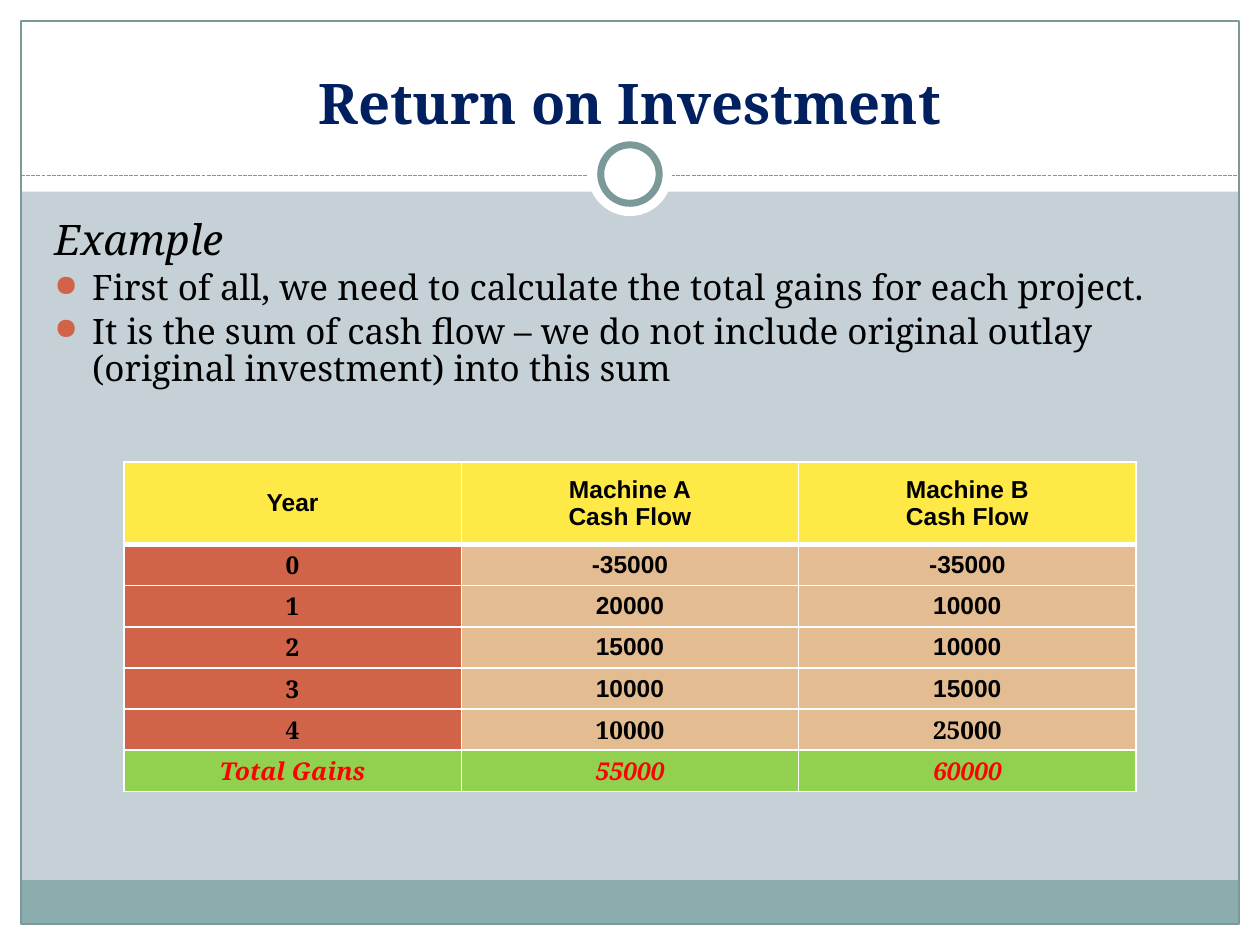
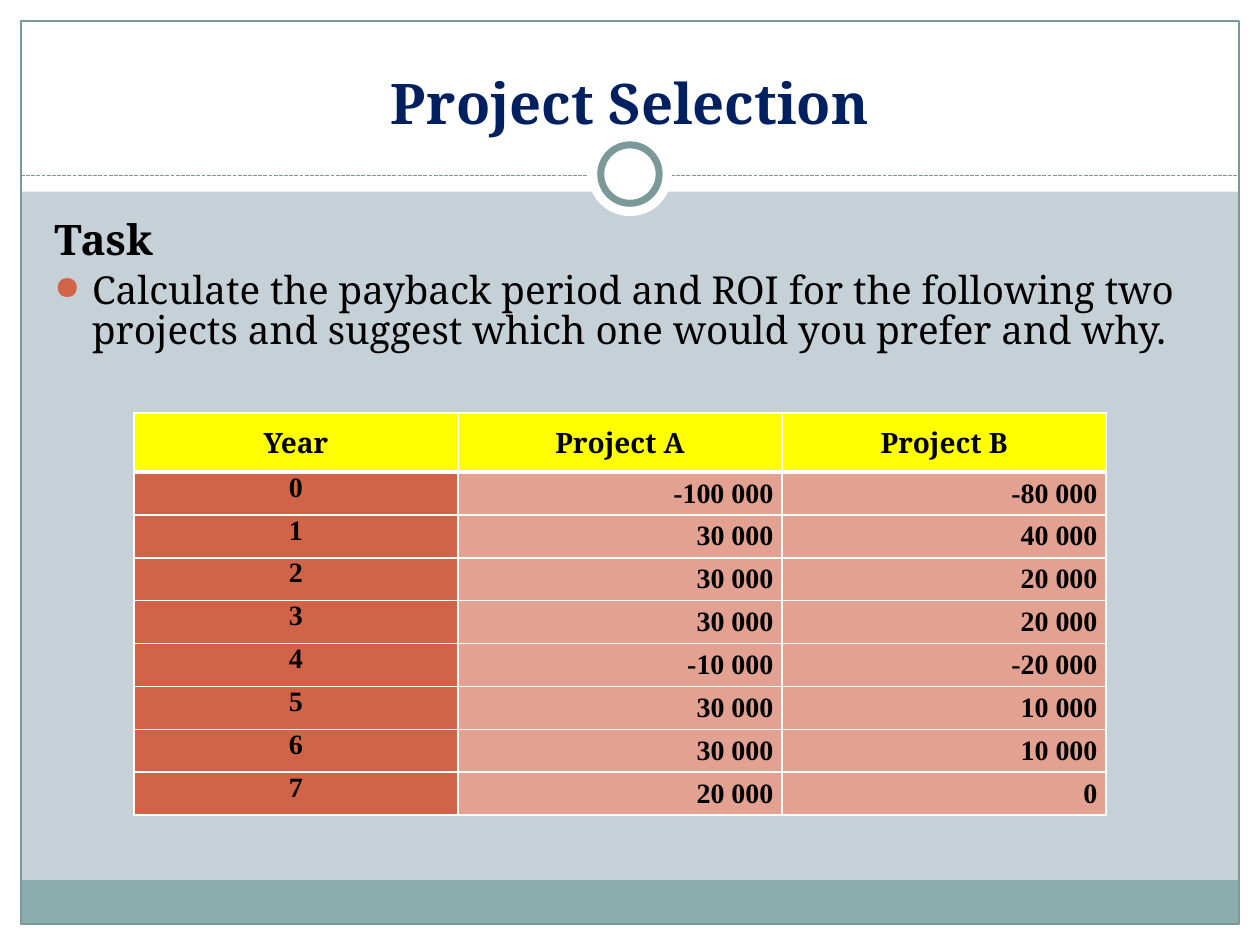
import pptx
import pptx.dml.color
import pptx.enum.dml
import pptx.enum.shapes
import pptx.enum.text
import pptx.oxml
import pptx.oxml.ns
import pptx.util

Pt = pptx.util.Pt
RGB = pptx.dml.color.RGBColor.from_string
SHAPE = pptx.enum.shapes.MSO_SHAPE
ALIGN = pptx.enum.text.PP_ALIGN
ANCHOR = pptx.enum.text.MSO_ANCHOR
NS = pptx.oxml.ns.nsdecls("a")

COLORS = {
    "back": "C5D1D7", "white": "FFFFFF", "band": "8CADAE", "rule": "7C999A",
    "title": "002060", "black": "000000", "accent": "D16349", "red": "FF0000",
    "gold": "FFE947", "yellow": "FFFF00", "tan": "E3BC92", "rose": "E3A192",
    "green": "92D050",
}


def add_xml(parent, xml):
    parent.append(pptx.oxml.parse_xml(xml))


def write(tf, text, size=20, font="Noto Serif", color="black", bold=False,
          italic=False, align=ALIGN.LEFT, bullet=False, spacing=None, before=0):
    for line in text.split("\n"):
        p = tf.paragraphs[0] if not tf.paragraphs[0].runs else tf.add_paragraph()
        p.alignment = align
        p.space_before = Pt(before)
        if spacing:
            p.line_spacing = spacing
        if bullet:
            pPr = p._p.get_or_add_pPr()
            pPr.set("marL", str(Pt(21.6)))
            pPr.set("indent", str(-Pt(21.6)))
            add_xml(pPr, f'<a:buClr {NS}><a:srgbClr val="{COLORS["accent"]}"/></a:buClr>')
            add_xml(pPr, f'<a:buSzPct {NS} val="85000"/>')
            add_xml(pPr, f'<a:buChar {NS} char="●"/>')
        r = p.add_run()
        r.text = line
        r.font.size = Pt(size)
        r.font.name = font
        r.font.bold = bold
        r.font.italic = italic
        r.font.color.rgb = RGB(COLORS[color])


class Deck:
    def __init__(self):
        self.prs = pptx.Presentation()
        self.prs.slide_width = Pt(720)
        self.prs.slide_height = Pt(540)
        self.s = None

    def shape(self, kind, x, y, w, h, fill=None, line=None, width=0.75):
        sp = self.s.shapes.add_shape(kind, Pt(x), Pt(y), Pt(w), Pt(h))
        sp.shadow.inherit = False
        if fill:
            sp.fill.solid()
            sp.fill.fore_color.rgb = RGB(COLORS[fill])
        else:
            sp.fill.background()
        if line:
            sp.line.color.rgb = RGB(COLORS[line])
            sp.line.width = Pt(width)
        else:
            sp.line.fill.background()

    def dashed_line(self, x1, x2, y):
        c = self.s.shapes.add_connector(
            pptx.enum.shapes.MSO_CONNECTOR.STRAIGHT, Pt(x1), Pt(y), Pt(x2), Pt(y))
        c.line.color.rgb = RGB(COLORS["rule"])
        c.line.width = Pt(0.75)
        c.line.dash_style = pptx.enum.dml.MSO_LINE.SQUARE_DOT
        add_xml(c._element.spPr, f"<a:effectLst {NS}/>")

    def text_box(self, x, y, w, h, anchor=ANCHOR.TOP):
        tf = self.s.shapes.add_textbox(Pt(x), Pt(y), Pt(w), Pt(h)).text_frame
        tf.word_wrap = True
        tf.vertical_anchor = anchor
        return tf

    def slide(self, title):
        self.s = self.prs.slides.add_slide(self.prs.slide_layouts[6])
        self.s.background.fill.solid()
        self.s.background.fill.fore_color.rgb = RGB(COLORS["back"])
        for box in ((0, 528, 720, 12), (0, 0, 720, 109.5),
                    (0, 0, 12, 540), (708, 0, 12, 540)):
            self.shape(SHAPE.RECTANGLE, *box, fill="white")
        self.shape(SHAPE.RECTANGLE, 12, 503, 696, 25, fill="band")
        self.shape(SHAPE.RECTANGLE, 12, 12, 696, 516, line="rule")
        self.dashed_line(12, 708, 100.5)
        self.shape(SHAPE.OVAL, 336, 75.5, 48, 48, fill="white")
        self.shape(SHAPE.OVAL, 343.3, 82.8, 33.4, 33.4, fill="white", line="rule", width=4)
        tf = self.text_box(24, 21, 672, 60, ANCHOR.BOTTOM)
        write(tf, title, size=32, color="title", bold=True, align=ALIGN.CENTER)

    def body(self, width, heading, points, size, **heading_format):
        tf = self.text_box(24, 122, width, 360)
        write(tf, heading, size=24, spacing=0.88, **heading_format)
        for point in points:
            write(tf, point, size=size, bullet=True, spacing=0.88, before=size * 0.2)

    def table(self, x, y, width, head_height, row_height, rows, look):
        cols = len(rows[0])
        height = head_height + row_height * (len(rows) - 1)
        table = self.s.shapes.add_table(
            len(rows), cols, Pt(x), Pt(y), Pt(width), Pt(height)).table
        table.horz_banding = False
        for col in table.columns:
            col.width = Pt(width / cols)
        for i, row in enumerate(rows):
            table.rows[i].height = Pt(row_height if i else head_height)
            for j, text in enumerate(row):
                self.cell(table.cell(i, j), i, text, **look(i, j))

    def cell(self, cell, row, text, fill, anchor=ANCHOR.MIDDLE, **text_format):
        cell.margin_left = cell.margin_right = Pt(5)
        cell.margin_top = cell.margin_bottom = 0
        cell.vertical_anchor = anchor
        widths = {"L": 1, "R": 1, "T": 3 if row == 1 else 1, "B": 1 if row else 3}
        for side, width in widths.items():
            add_xml(cell._tc.get_or_add_tcPr(),
                    f'<a:ln{side} {NS} w="{Pt(width)}"><a:solidFill>'
                    f'<a:srgbClr val="{COLORS["white"]}"/></a:solidFill></a:ln{side}>')
        cell.fill.solid()
        cell.fill.fore_color.rgb = RGB(COLORS[fill])
        write(cell.text_frame, text, bold=True, **text_format)


def cash_flow_look(i, j):
    look = dict(size=14, align=ALIGN.CENTER)
    if i == 0:
        return dict(look, fill="gold", font="Arial")
    if i == 6:
        return dict(look, fill="green", color="red", italic=True)
    if j == 0:
        return dict(look, fill="accent")
    return dict(look, fill="tan", font="Arial" if i < 5 else "Noto Serif")


def project_look(i, j):
    if i == 0:
        return dict(size=16, fill="yellow", align=ALIGN.CENTER)
    look = dict(size=16, font="Times New Roman")
    if j == 0:
        return dict(look, fill="accent", align=ALIGN.CENTER, anchor=ANCHOR.TOP)
    return dict(look, fill="rose", align=ALIGN.RIGHT)


deck = Deck()

deck.slide("Return on Investment")
deck.body(660, "Example", [
    "First of all, we need to calculate the total gains for each project.",
    "It is the sum of cash flow – we do not include original outlay "
    "(original investment) into this sum",
], size=20, italic=True)
deck.table(70.8, 264, 578.4, 47.2, 23.5, [
    ("Year", "Machine A\nCash Flow", "Machine B\nCash Flow"),
    ("0", "-35000", "-35000"),
    ("1", "20000", "10000"),
    ("2", "15000", "10000"),
    ("3", "10000", "15000"),
    ("4", "10000", "25000"),
    ("Total Gains", "55000", "60000"),
], cash_flow_look)

deck.slide("Project Selection")
deck.body(654, "Task", [
    "Calculate the payback period and ROI for the following two projects "
    "and suggest which one would you prefer and why.",
], size=22, bold=True)
deck.table(76.5, 236, 555.6, 33.8, 24.5, [
    ("Year", "Project A", "Project B"),
    ("0", "-100 000", "-80 000"),
    ("1", "30 000", "40 000"),
    ("2", "30 000", "20 000"),
    ("3", "30 000", "20 000"),
    ("4", "-10 000", "-20 000"),
    ("5", "30 000", "10 000"),
    ("6", "30 000", "10 000"),
    ("7", "20 000", "0"),
], project_look)

deck.prs.save("out.pptx")
